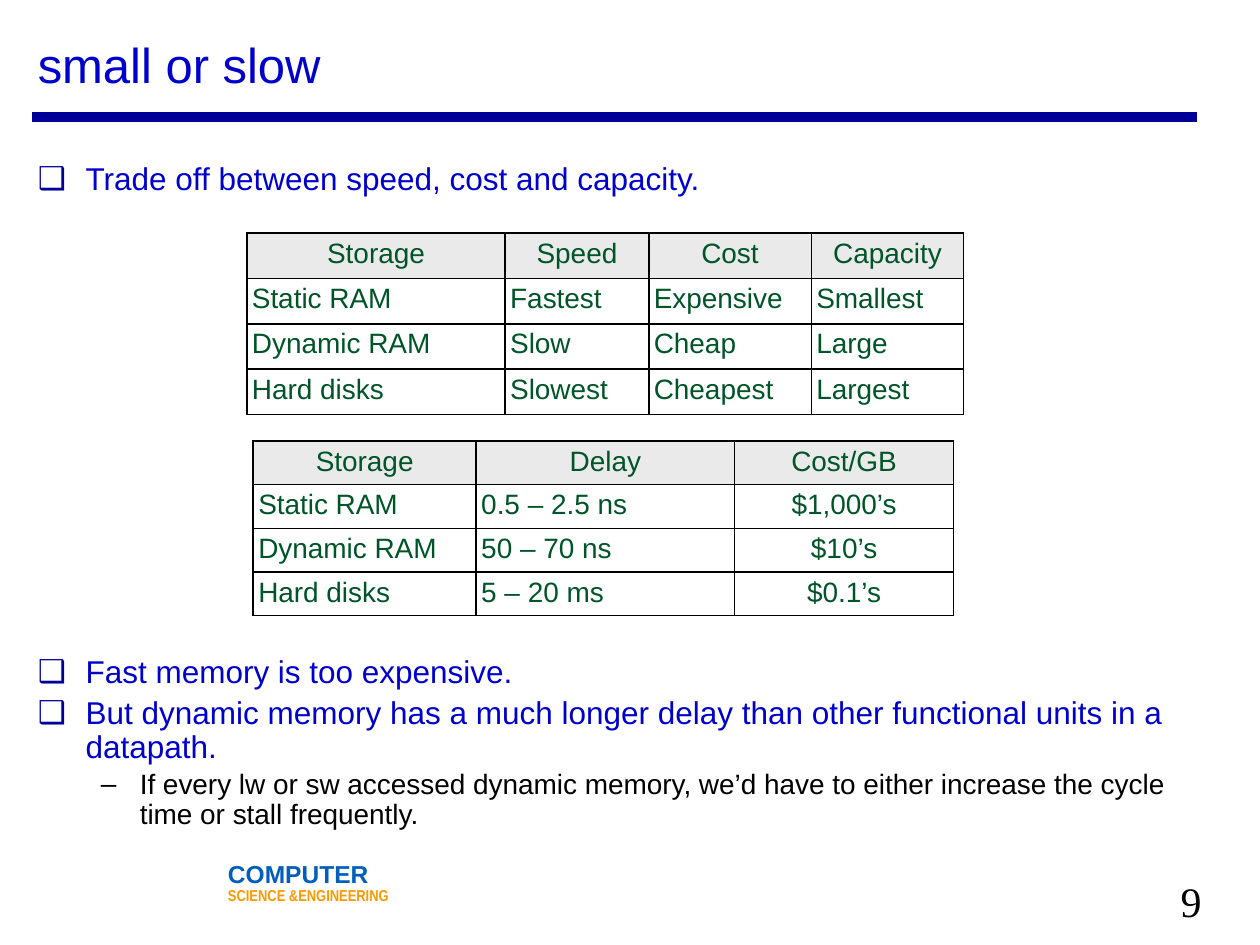
from lxml import etree
from pptx import Presentation
from pptx.dml.color import RGBColor
from pptx.enum import shapes, text
from pptx.oxml import ns
from pptx.util import Inches, Pt

BLUE, NAVY, GREEN, BLACK, WHITE, HEADER_GREY = (
    "0000CC", "000099", "005528", "000000", "FFFFFF", "EAEAEA")

STORAGE_TRAITS = [
    ["Storage", "Speed", "Cost", "Capacity"],
    ["Static RAM", "Fastest", "Expensive", "Smallest"],
    ["Dynamic RAM", "Slow", "Cheap", "Large"],
    ["Hard disks", "Slowest", "Cheapest", "Largest"],
]
STORAGE_FIGURES = [
    ["Storage", "Delay", "Cost/GB"],
    ["Static RAM", "0.5 – 2.5 ns", "$1,000’s"],
    ["Dynamic RAM", "50 – 70 ns", "$10’s"],
    ["Hard disks", "5 – 20 ms", "$0.1’s"],
]


def color(value):
    """Turn a hex string into a colour."""
    return RGBColor.from_string(value)


def add_element(parent, tag, **attributes):
    """Append a drawing element with the given attributes."""
    return etree.SubElement(parent, ns.qn(tag), attributes)


def set_bullet(paragraph, mark, mark_color, margin, hanging):
    """Give a paragraph a coloured bullet and a hanging indent."""
    properties = paragraph._p.get_or_add_pPr()
    properties.set("marL", str(Inches(margin)))
    properties.set("indent", str(-Inches(hanging)))
    bullet_color = add_element(properties, "a:buClr")
    add_element(bullet_color, "a:srgbClr", val=mark_color)
    add_element(properties, "a:buFont", typeface="Arial")
    add_element(properties, "a:buChar", char=mark)


def write(frame, words, first=True, size=18, font="Arial", ink=BLUE, bold=False,
          align=text.PP_ALIGN.LEFT, spacing=None, before=None, bullet=None):
    """Write one formatted paragraph into a text frame."""
    paragraph = frame.paragraphs[0] if first else frame.add_paragraph()
    paragraph.alignment = align
    if spacing:
        paragraph.line_spacing = spacing
    if before:
        paragraph.space_before = Pt(before)
    if bullet:
        set_bullet(paragraph, *bullet)
    run = paragraph.add_run()
    run.text = words
    run.font.size, run.font.name, run.font.bold = Pt(size), font, bold
    run.font.color.rgb = color(ink)
    return paragraph


def set_insets(target, inset):
    """Set four equal margins on a text frame or a table cell."""
    target.margin_left = target.margin_right = Inches(inset)
    target.margin_top = target.margin_bottom = Inches(inset)


def add_box(slide, left, top, width, height, anchor=text.MSO_ANCHOR.TOP):
    """Add a wrapping text box and return its frame."""
    frame = slide.shapes.add_textbox(
        Inches(left), Inches(top), Inches(width), Inches(height)).text_frame
    frame.word_wrap = True
    frame.vertical_anchor = anchor
    set_insets(frame, 0.05)
    return frame


def add_rule(slide):
    """Draw the thick line under the title."""
    rule = slide.shapes.add_connector(
        shapes.MSO_CONNECTOR.STRAIGHT,
        Inches(0.25), Inches(0.93), Inches(9.5), Inches(0.93))
    rule.line.color.rgb = color(NAVY)
    rule.line.width = Pt(6)
    add_element(rule._element.spPr, "a:effectLst")


def add_department(slide):
    """Add the department name at the foot of the slide."""
    panel = slide.shapes.add_shape(
        shapes.MSO_SHAPE.RECTANGLE,
        Inches(1.81), Inches(6.92), Inches(1.43), Inches(0.35))
    panel.shadow.inherit = False
    panel.fill.solid()
    panel.fill.fore_color.rgb = color(WHITE)
    panel.line.color.rgb = color(WHITE)
    panel.line.width = Pt(3)
    frame = panel.text_frame
    frame.vertical_anchor = text.MSO_ANCHOR.TOP
    set_insets(frame, 0)
    write(frame, "COMPUTER", size=14, ink="015EBA", bold=True, spacing=0.5)
    write(frame, "SCIENCE &ENGINEERING", first=False, size=9,
          font="Arial Narrow", ink="FB9902", bold=True, spacing=0.5, before=4)


def set_borders(cell):
    """Draw a thin black border on each side of a cell."""
    properties = cell._tc.get_or_add_tcPr()
    for position, side in enumerate(("a:lnL", "a:lnR", "a:lnT", "a:lnB")):
        border = add_element(properties, side, w=str(Pt(1)))
        add_element(add_element(border, "a:solidFill"), "a:srgbClr", val=BLACK)
        properties.insert(position, border)


def add_storage_table(slide, left, top, widths, row_height, rows, centred=()):
    """Add a bordered table with a grey header row."""
    table = slide.shapes.add_table(
        len(rows), len(widths), Inches(left), Inches(top),
        Inches(sum(widths)), Inches(row_height * len(rows))).table
    table.first_row = table.horz_banding = False
    for column, width in zip(table.columns, widths):
        column.width = Inches(width)
    for r, row in enumerate(rows):
        table.rows[r].height = Inches(row_height)
        for c, words in enumerate(row):
            cell = table.cell(r, c)
            set_insets(cell, 0.04)
            cell.fill.solid()
            cell.fill.fore_color.rgb = color(WHITE if r else HEADER_GREY)
            set_borders(cell)
            middle = r == 0 or c in centred
            write(cell.text_frame, words, size=16, ink=GREEN,
                  align=text.PP_ALIGN.CENTER if middle else text.PP_ALIGN.LEFT)


def add_points(slide):
    """Write the bullet points, leaving room for the tables."""
    points = add_box(slide, 0.25, 1.25, 9.17, 5.5)
    square = {"spacing": 0.9, "bullet": ("❑", NAVY, 0.38, 0.38)}
    write(points, "Trade off between speed, cost and capacity.", **square)
    write(points, "Fast memory is too expensive.",
          first=False, before=262, **square)
    write(points, "But dynamic memory has a much longer delay than other "
          "functional units in a datapath.", first=False, before=4, **square)
    detail = write(
        points, "If every lw or sw accessed dynamic memory, we’d have to either "
        "increase the cycle time or stall frequently.", first=False, size=16,
        ink=BLACK, spacing=0.9, before=3, bullet=("–", BLACK, 0.81, 0.31))
    detail.level = 1


def main():
    """Build the slide and save it."""
    deck = Presentation()
    deck.slide_width, deck.slide_height = Inches(10), Inches(7.5)
    slide = deck.slides.add_slide(deck.slide_layouts[6])
    add_rule(slide)
    add_department(slide)
    page_number = add_box(slide, 9.32, 6.9, 0.28, 0.46)
    write(page_number, "9", size=24, font="Times New Roman", ink=BLACK)
    title = add_box(slide, 0.25, 0.17, 8.5, 0.67, text.MSO_ANCHOR.MIDDLE)
    write(title, "small or slow", size=28)
    add_points(slide)
    add_storage_table(slide, 1.96, 1.85, [2.05, 1.14, 1.29, 1.21], 0.36,
                      STORAGE_TRAITS)
    add_storage_table(slide, 2.01, 3.5, [1.77, 2.05, 1.74], 0.34,
                      STORAGE_FIGURES, centred=(2,))
    deck.save("out.pptx")


if __name__ == "__main__":
    main()
